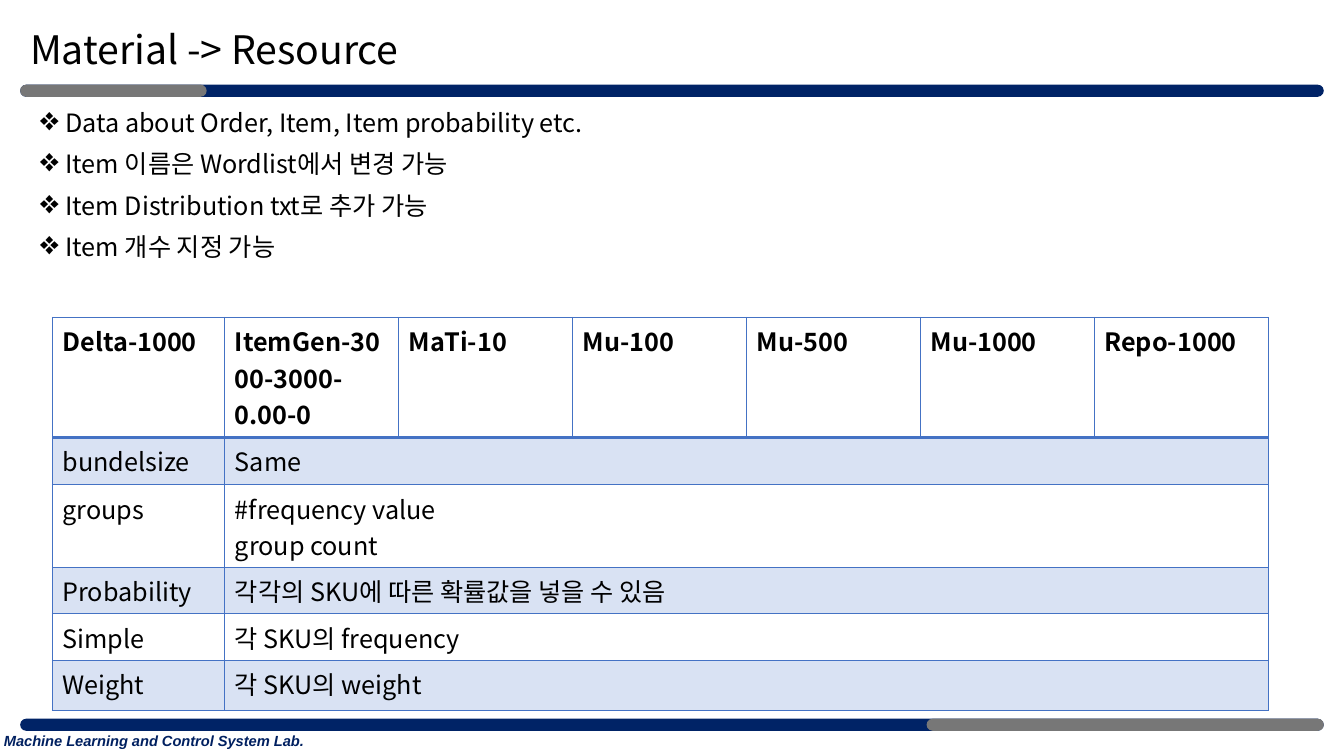
"""Build the "Material -> Resource" slide with its bullets and resource table."""
from dataclasses import dataclass

from lxml import etree
from pptx import Presentation
from pptx.dml.color import RGBColor
from pptx.enum.shapes import MSO_SHAPE
from pptx.enum.text import MSO_ANCHOR
from pptx.oxml.ns import qn
from pptx.util import Inches, Pt

ROUNDED = MSO_SHAPE.ROUNDED_RECTANGLE
MIDDLE, TOP = MSO_ANCHOR.MIDDLE, MSO_ANCHOR.TOP
COLORS = {"navy": "002366", "gray": "777777", "footer": "002060",
          "text": "000000", "grid": "4472C4"}
BODY_FONT = "Noto Sans CJK KR"


@dataclass
class TextStyle:
    size: float
    font: str = BODY_FONT
    color: str = "text"
    bold: bool = False
    italic: bool = False


@dataclass
class Bar:
    left: float
    top: float
    width: float
    color: str


@dataclass
class Resource:
    name: str
    lines: list[str]
    height: float
    shaded: bool


BARS = [
    Bar(0.2, 0.84, 12.93, "navy"),
    Bar(0.2, 0.84, 1.85, "gray"),
    Bar(0.2, 7.13, 12.93, "navy"),
    Bar(9.19, 7.13, 3.94, "gray"),
]
POINTS = [
    "Data about Order, Item, Item probability etc.",
    "Item 이름은 Wordlist에서 변경 가능",
    "Item Distribution txt로 추가 가능",
    "Item 개수 지정 가능",
]
DATASETS = ["Delta-1000", "ItemGen-3000-3000-0.00-0", "MaTi-10", "Mu-100",
            "Mu-500", "Mu-1000", "Repo-1000"]
RESOURCES = [
    Resource("bundelsize", ["Same"], 0.47, True),
    Resource("groups", ["#frequency value", "group count"], 0.82, False),
    Resource("Probability", ["각각의 SKU에 따른 확률값을 넣을 수 있음"], 0.46, True),
    Resource("Simple", ["각 SKU의 frequency"], 0.46, False),
    Resource("Weight", ["각 SKU의 weight"], 0.5, True),
]
HEADER_HEIGHT = 1.19
TABLE_WIDTH, NAME_WIDTH = 12.06, 1.71
DATASET_WIDTH = (TABLE_WIDTH - NAME_WIDTH) / (len(DATASETS) - 1)
COLUMN_WIDTHS = [NAME_WIDTH] + [DATASET_WIDTH] * (len(DATASETS) - 1)
TITLE = TextStyle(28)
BODY = TextStyle(18)
HEADING = TextStyle(18, bold=True)
FOOTER = TextStyle(10.5, "Arial", "footer", True, True)


def rgb(color: str) -> RGBColor:
    return RGBColor.from_string(COLORS[color])


def write(frame, lines: list[str], style: TextStyle) -> None:
    for index, line in enumerate(lines):
        paragraph = frame.add_paragraph() if index else frame.paragraphs[0]
        run = paragraph.add_run()
        run.text = line
        font = run.font
        font.size, font.name = Pt(style.size), style.font
        font.bold, font.italic = style.bold, style.italic
        font.color.rgb = rgb(style.color)
        etree.SubElement(run._r.get_or_add_rPr(), qn("a:ea"), typeface=style.font)


def add_text(slide, left: float, top: float, width: float, height: float,
             lines: list[str], style: TextStyle, anchor=TOP):
    frame = slide.shapes.add_textbox(
        Inches(left), Inches(top), Inches(width), Inches(height)).text_frame
    frame.word_wrap = True
    frame.vertical_anchor = anchor
    write(frame, lines, style)
    return frame


def add_bar(slide, bar: Bar) -> None:
    shape = slide.shapes.add_shape(
        ROUNDED, Inches(bar.left), Inches(bar.top), Inches(bar.width), Inches(0.12))
    shape.adjustments[0] = 0.5
    shape.shadow.inherit = False
    shape.fill.solid()
    shape.fill.fore_color.rgb = rgb(bar.color)
    shape.line.fill.background()


def add_bullets(frame) -> None:
    for paragraph in frame.paragraphs:
        paragraph.line_spacing = 0.9
        paragraph.space_before = Pt(10)
        properties = paragraph._p.get_or_add_pPr()
        properties.set("marL", str(Inches(0.25)))
        properties.set("indent", str(-Inches(0.25)))
        etree.SubElement(properties, qn("a:buSzPct"), val="130000")
        etree.SubElement(properties, qn("a:buChar"), char="❖")


def format_cell(cell, shaded: bool, top_width: float, bottom_width: float) -> None:
    properties = cell._tc.get_or_add_tcPr()
    if shaded:
        cell.fill.solid()
        cell.fill.fore_color.rgb = rgb("grid")
        tint = properties.find(f"{qn('a:solidFill')}/{qn('a:srgbClr')}")
        etree.SubElement(tint, qn("a:alpha"), val="20000")
    else:
        cell.fill.background()
    edges = {"a:lnL": 1, "a:lnR": 1, "a:lnT": top_width, "a:lnB": bottom_width}
    for index, (tag, width) in enumerate(edges.items()):
        edge = etree.Element(qn(tag), w=str(Pt(width)))
        paint = etree.SubElement(edge, qn("a:solidFill"))
        etree.SubElement(paint, qn("a:srgbClr"), val=COLORS["grid"])
        properties.insert(index, edge)


def add_resource_table(slide) -> None:
    heights = [HEADER_HEIGHT] + [resource.height for resource in RESOURCES]
    table = slide.shapes.add_table(
        len(heights), len(COLUMN_WIDTHS), Inches(0.52), Inches(3.15),
        Inches(TABLE_WIDTH), Inches(sum(heights))).table
    table.horz_banding = table.first_row = False
    for column, width in zip(table.columns, COLUMN_WIDTHS):
        column.width = Inches(width)
    for row, height in zip(table.rows, heights):
        row.height = Inches(height)
    for index, dataset in enumerate(DATASETS):
        cell = table.cell(0, index)
        write(cell.text_frame, [dataset], HEADING)
        format_cell(cell, False, 1, 2)
    for index, resource in enumerate(RESOURCES, start=1):
        description = table.cell(index, 1)
        description.merge(table.cell(index, len(DATASETS) - 1))
        write(table.cell(index, 0).text_frame, [resource.name], BODY)
        write(description.text_frame, resource.lines, BODY)
        for cell in table.rows[index].cells:
            format_cell(cell, resource.shaded, 2 if index == 1 else 1, 1)


def main() -> None:
    deck = Presentation()
    deck.slide_width, deck.slide_height = Inches(13.33), Inches(7.5)
    slide = deck.slides.add_slide(deck.slide_layouts[6])
    add_text(slide, -0.06, 7.21, 4.71, 0.28,
             ["Machine Learning and Control System Lab."], FOOTER)
    for bar in BARS:
        add_bar(slide, bar)
    title = add_text(slide, 0.2, 0.15, 11.5, 0.73,
                     ["Material -> Resource"], TITLE, MIDDLE)
    title.paragraphs[0].line_spacing = 0.9
    add_bullets(add_text(slide, 0.3, 1.05, 12.82, 3.48, POINTS, BODY))
    add_resource_table(slide)
    deck.save("out.pptx")


if __name__ == "__main__":
    main()
